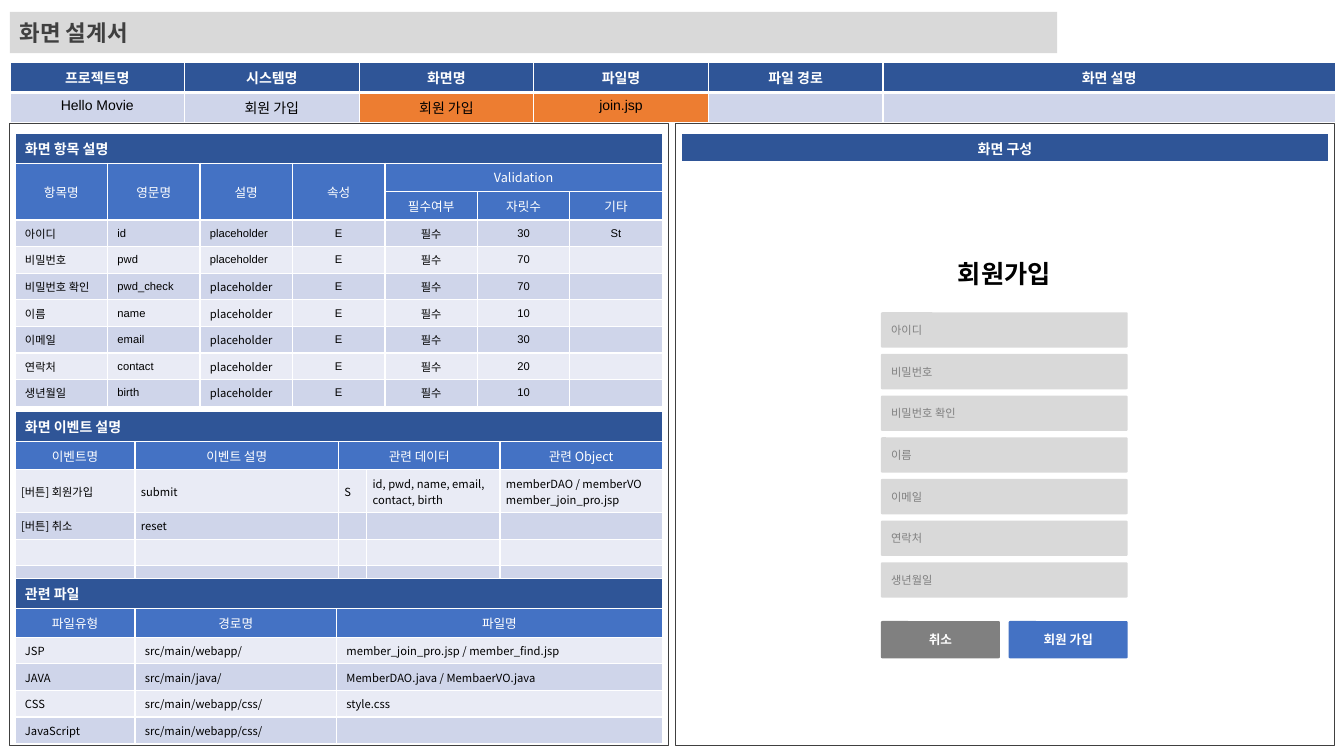
from dataclasses import dataclass
from typing import Optional

import lxml.etree
import pptx
import pptx.dml.color
import pptx.enum.shapes
import pptx.enum.text
import pptx.oxml.ns
import pptx.util

Cm = pptx.util.Cm
Pt = pptx.util.Pt
Align = pptx.enum.text.PP_ALIGN
Anchor = pptx.enum.text.MSO_ANCHOR
Preset = pptx.enum.shapes.MSO_SHAPE
qn = pptx.oxml.ns.qn

KOREAN = "Noto Sans CJK KR"
LATIN = "Arial"
NAVY, BLUE, ORANGE = "2F5597", "4472C4", "ED7D31"
BAND_DARK, BAND_LIGHT = "CFD5EA", "E9EBF5"
WHITE, BLACK, LIGHT_GRAY, GRAY, CHARCOAL = "FFFFFF", "000000", "D9D9D9", "808080", "404040"


@dataclass
class Row:
    texts: list[str]
    height: float
    fills: list[str]
    size: float
    color: str = WHITE
    bold: bool = False
    font: str = KOREAN
    centered_from: int = 0  # first column whose text is centred
    anchor: Anchor = Anchor.MIDDLE
    side_margin: float = 0.25
    bottom_border: float = 1


@dataclass
class Box:
    left: float
    top: float
    width: float
    height: float
    text: str = ""
    fill: Optional[str] = None
    line: Optional[str] = None
    rounded: bool = False
    size: float = 8
    color: str = GRAY
    bold: bool = False
    font: str = KOREAN
    align: Align = Align.LEFT


def rgb(code: str) -> pptx.dml.color.RGBColor:
    return pptx.dml.color.RGBColor.from_string(code)


def write(frame, text: str, *, size: float, color: str, bold: bool = False,
          font: str = KOREAN, align: Align = Align.LEFT) -> None:
    frame.word_wrap = True
    for index, line in enumerate(text.split("\n")):
        paragraph = frame.add_paragraph() if index else frame.paragraphs[0]
        paragraph.alignment = align
        if not line:  # keeps an empty cell as low as its row
            lxml.etree.SubElement(paragraph._p, qn("a:endParaRPr"), sz=str(int(size * 100)))
            continue
        run = paragraph.add_run()
        run.text = line
        run.font.size, run.font.bold, run.font.name = Pt(size), bold, font
        run.font.color.rgb = rgb(color)
        lxml.etree.SubElement(run.font._element, qn("a:ea"), typeface=KOREAN)


def add_borders(cell, bottom: float) -> None:
    properties = cell._tc.get_or_add_tcPr()
    for index, (side, width) in enumerate((("L", 1), ("R", 1), ("T", 1), ("B", bottom))):
        border = lxml.etree.Element(qn(f"a:ln{side}"), w=str(Pt(width)))
        fill = lxml.etree.SubElement(border, qn("a:solidFill"))
        lxml.etree.SubElement(fill, qn("a:srgbClr"), val=WHITE)
        properties.insert(index, border)


def add_grid(slide, left: float, top: float, widths: list[float], rows: list[Row],
             merges: tuple = ()) -> None:
    height = sum(row.height for row in rows)
    table = slide.shapes.add_table(len(rows), len(widths), Cm(left), Cm(top),
                                   Cm(sum(widths)), Cm(height)).table
    table.first_row = table.horz_banding = False
    for column, width in zip(table.columns, widths):
        column.width = Cm(width)
    for r, row in enumerate(rows):
        table.rows[r].height = Cm(row.height)
        for c in range(len(widths)):
            cell = table.cell(r, c)
            cell.fill.solid()
            cell.fill.fore_color.rgb = rgb(row.fills[c % len(row.fills)])
            cell.vertical_anchor = row.anchor
            cell.margin_left = cell.margin_right = Cm(row.side_margin)
            text = row.texts[c] if c < len(row.texts) else ""
            # Placeholder cells below the second item use the Korean face
            font = KOREAN if text == "placeholder" and r > 4 else row.font
            write(cell.text_frame, text, size=row.size, color=row.color, bold=row.bold,
                  font=font, align=Align.CENTER if c >= row.centered_from else Align.LEFT)
            add_borders(cell, row.bottom_border)
    for r1, c1, r2, c2 in merges:
        table.cell(r1, c1).merge(table.cell(r2, c2))


def add_box(slide, box: Box) -> None:
    preset = Preset.ROUNDED_RECTANGLE if box.rounded else Preset.RECTANGLE
    shape = slide.shapes.add_shape(preset, Cm(box.left), Cm(box.top), Cm(box.width), Cm(box.height))
    shape.shadow.inherit = False
    if box.rounded:
        shape.adjustments[0] = 0.04
    if box.fill:
        shape.fill.solid()
        shape.fill.fore_color.rgb = rgb(box.fill)
    else:
        shape.fill.background()
    if box.line:
        shape.line.color.rgb = rgb(box.line)
        shape.line.width = Pt(0.5)
    else:
        shape.line.fill.background()
    if box.text:
        shape.text_frame.vertical_anchor = Anchor.MIDDLE
        write(shape.text_frame, box.text, size=box.size, color=box.color, bold=box.bold,
              font=box.font, align=box.align)


def section_row(title: str) -> Row:
    return Row([title], 0.76, [NAVY], 10, bold=True, centered_from=1)


def heading_row(*texts: str) -> Row:
    return Row(list(texts), 0.71, [BLUE], 9)


def body_rows(records: list[list[str]], bands: tuple[str, str], **style) -> list[Row]:
    return [Row(record, 1.08 if any("\n" in text for text in record) else 0.67,
                [bands[i % 2]], 8, BLACK, **style) for i, record in enumerate(records)]


def main() -> None:
    deck = pptx.Presentation()
    deck.slide_width, deck.slide_height = Cm(33.87), Cm(19.05)
    slide = deck.slides.add_slide(deck.slide_layouts[6])

    # Panels and title bar
    for panel_left in (0.23, 17.02):
        add_box(slide, Box(panel_left, 3.12, 16.61, 15.67, line=CHARCOAL))
    add_box(slide, Box(0.25, 0.3, 26.39, 1.04, "화면 설계서", LIGHT_GRAY,
                       size=16, color=CHARCOAL, bold=True))

    # Project summary
    add_grid(slide, 0.25, 1.57, [4.4] * 5 + [11.4], [
        Row(["프로젝트명", "시스템명", "화면명", "파일명", "파일 경로", "화면 설명"], 0.76, [NAVY], 10,
            bold=True, font=LATIN, anchor=Anchor.TOP, bottom_border=3),
        Row(["Hello Movie", "회원 가입", "회원 가입", "join.jsp"], 0.76,
            [BAND_DARK] * 2 + [ORANGE] * 2 + [BAND_DARK] * 2, 10, BLACK,
            font=LATIN, anchor=Anchor.TOP),
    ])

    # Screen items
    items = [("아이디", "id", "30", "St"), ("비밀번호", "pwd", "70", ""),
             ("비밀번호 확인", "pwd_check", "70", ""), ("이름", "name", "10", ""),
             ("이메일", "email", "30", ""), ("연락처", "contact", "20", ""),
             ("생년월일", "birth", "10", "")]
    item_records = [[label, name, "placeholder", "E", "필수", length, note]
                    for label, name, length, note in items]
    add_grid(slide, 0.38, 3.35, [2.33] * 7, [
        section_row("화면 항목 설명"),
        heading_row("항목명", "영문명", "설명", "속성", "Validation"),
        heading_row("", "", "", "", "필수여부", "자릿수", "기타"),
        *body_rows(item_records, (BAND_DARK, BAND_LIGHT), font=LATIN, centered_from=3),
    ], ((0, 0, 0, 6), (1, 4, 1, 6), *((1, c, 2, c) for c in range(4))))

    # Screen events
    events = [["[버튼] 회원가입", "submit", "S", "id, pwd, name, email,\ncontact, birth",
               "memberDAO / memberVO\nmember_join_pro.jsp"],
              ["[버튼] 취소", "reset"], [], []]
    add_grid(slide, 0.38, 10.36, [3.02, 5.13, 0.71, 3.36, 4.09], [
        section_row("화면 이벤트 설명"),
        heading_row("이벤트명", "이벤트 설명", "관련 데이터", "", "관련 Object"),
        *body_rows(events, (BAND_LIGHT, BAND_DARK), centered_from=5, side_margin=0.15),
    ], ((0, 0, 0, 4), (1, 2, 1, 3)))

    # Related files
    files = [["JSP", "src/main/webapp/", "member_join_pro.jsp / member_find.jsp"],
             ["JAVA", "src/main/java/", "MemberDAO.java / MembaerVO.java"],
             ["CSS", "src/main/webapp/css/", "style.css"],
             ["JavaScript", "src/main/webapp/css/"]]
    add_grid(slide, 0.38, 14.58, [3.02, 5.08, 8.21], [
        section_row("관련 파일"),
        heading_row("파일유형", "경로명", "파일명"),
        *body_rows(files, (BAND_LIGHT, BAND_DARK), centered_from=3),
    ], ((0, 0, 0, 2),))

    # Sign-up form
    add_grid(slide, 17.17, 3.35, [16.31], [
        Row(["화면 구성"], 0.69, [NAVY], 10, bold=True, anchor=Anchor.TOP, bottom_border=3)])
    form_title = slide.shapes.add_textbox(Cm(22.2), Cm(6.38), Cm(6.22), Cm(1.02))
    write(form_title.text_frame, "회원가입", size=18, color=BLACK, bold=True, align=Align.CENTER)
    for i, item in enumerate(items):
        add_box(slide, Box(22.2, 7.87 + 1.05 * i, 6.22, 0.89, item[0], LIGHT_GRAY, rounded=True))
    for button_left, label, fill in ((22.2, "취소", GRAY), (25.42, "회원 가입", BLUE)):
        add_box(slide, Box(button_left, 15.65, 3, 0.94, label, fill, rounded=True, size=9,
                           color=WHITE, bold=True, font=LATIN, align=Align.CENTER))

    deck.save("out.pptx")


if __name__ == "__main__":
    main()
